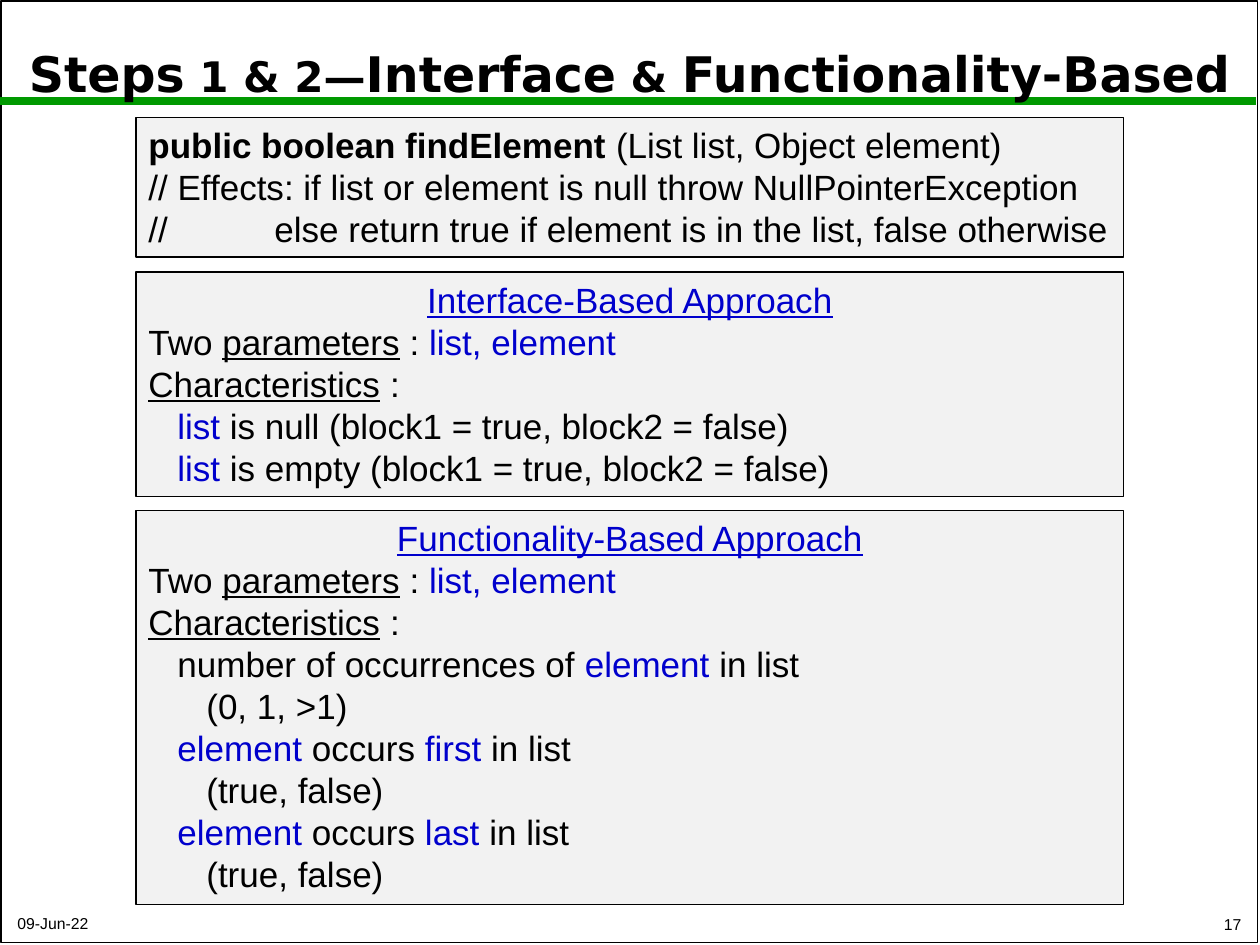
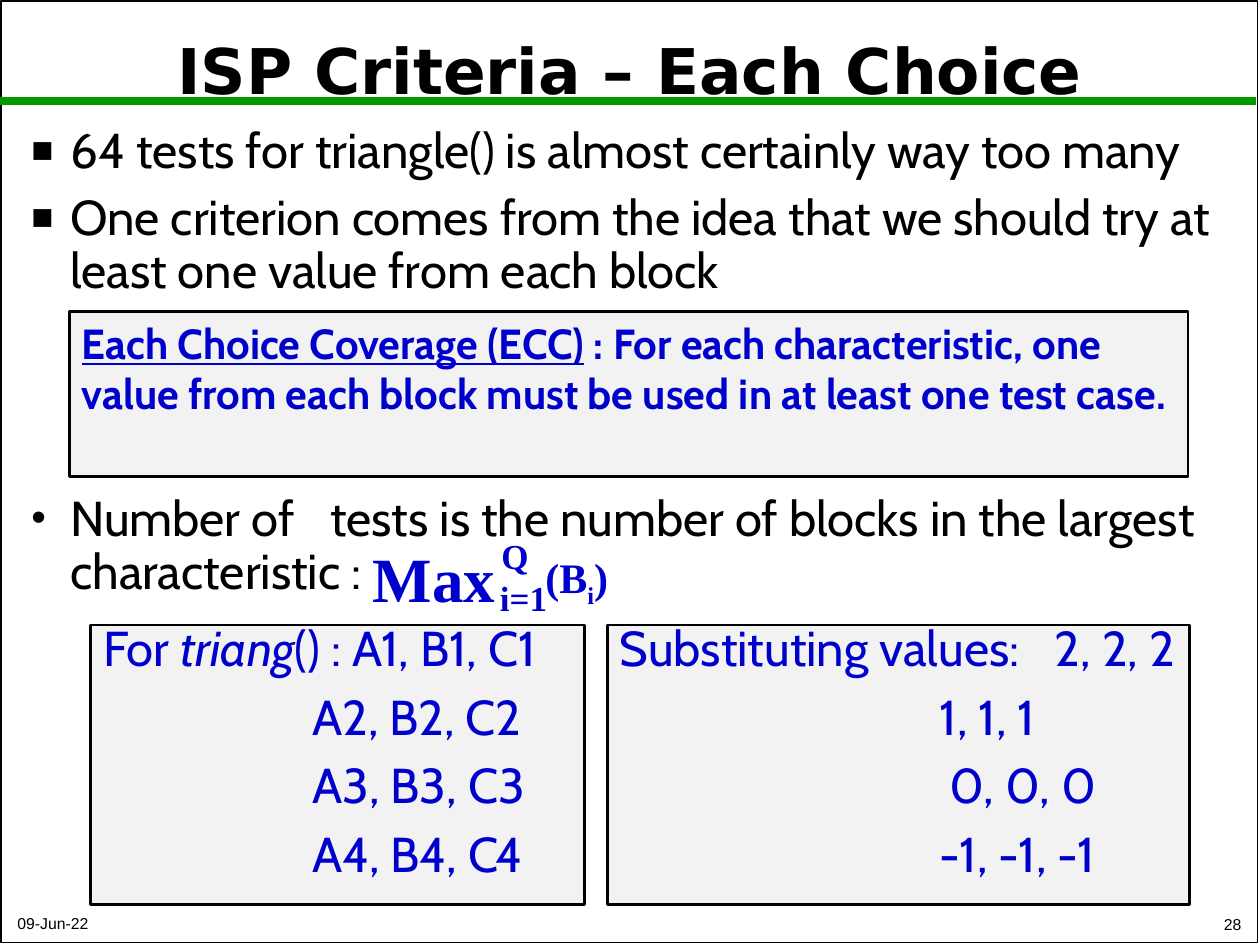
"""Build two lecture slides on input space partitioning."""
from dataclasses import dataclass

from lxml.etree import SubElement
from pptx import Presentation
from pptx.dml.color import RGBColor
from pptx.enum.shapes import MSO_CONNECTOR as Connector, MSO_SHAPE as Preset
from pptx.enum.text import MSO_ANCHOR as Anchor, PP_ALIGN as Align
from pptx.oxml.ns import qn
from pptx.util import Inches, Pt

SLIDE_WIDTH, SLIDE_HEIGHT = Inches(10), Inches(7.5)
COLUMN, ROW = SLIDE_WIDTH / 100, SLIDE_HEIGHT / 75
BLACK, BLUE, GREEN, PANEL = "000000", "0000CC", "009900", "F2F2F2"
SANS, TITLE_FONT, BODY_FONT, MATH_FONT = "Arial", "DejaVu Sans", "Cabin", "Times New Roman"
STEP = 2.3
WIDE_GAP = 7


@dataclass(frozen=True)
class Area:
    """A rectangle in columns and rows of the slide grid."""
    left: float
    top: float
    width: float
    height: float

    def box(self) -> tuple[int, int, int, int]:
        """Return left, top, width and height as lengths."""
        return (columns(self.left), rows(self.top), columns(self.width), rows(self.height))


@dataclass(frozen=True)
class Run:
    """A stretch of text, with what differs from the text around it."""
    text: str
    color: str | None = None
    size: float | None = None
    bold: bool | None = None
    italic: bool = False
    underline: bool = False
    baseline: int = 0
    spread: int = 0


@dataclass(frozen=True)
class Line:
    """A paragraph of runs, with its indent and bullet."""
    runs: tuple[Run, ...]
    indent: float = 0
    hanging: float = 0
    bullet: str = ""
    bullet_percent: int = 100
    align: Align | None = None


@dataclass(frozen=True)
class Panel:
    """A shaded box with its text format."""
    area: Area
    lines: tuple[Line, ...]
    border: float = 0.75
    size: float = 20
    font: str = SANS
    color: str = BLACK
    bold: bool = False
    spacing: float = 1
    before: float = 0


def columns(count: float) -> int:
    """Convert grid columns to a length."""
    return round(count * COLUMN)


def rows(count: float) -> int:
    """Convert grid rows to a length."""
    return round(count * ROW)


def rgb(code: str) -> RGBColor:
    """Turn a hex string into a colour."""
    return RGBColor.from_string(code)


def line(*parts: str | Run, **layout) -> Line:
    """Make a paragraph from plain strings and runs."""
    return Line(tuple(Run(part) if isinstance(part, str) else part for part in parts), **layout)


def blue(text: str) -> Run:
    """Make a highlighted run."""
    return Run(text, color=BLUE)


def underlined(text: str, color: str | None = None) -> Run:
    """Make an underlined run."""
    return Run(text, color=color, underline=True)


def write(shape, lines, *, size: float, font: str, color: str = BLACK, bold: bool = False,
          align: Align = Align.LEFT, anchor: Anchor = Anchor.TOP,
          spacing: float = 1, before: float = 0) -> None:
    """Fill a shape with formatted paragraphs."""
    frame = shape.text_frame
    frame.word_wrap = True
    frame.vertical_anchor = anchor
    for index, entry in enumerate(lines):
        paragraph = frame.add_paragraph() if index else frame.paragraphs[0]
        paragraph.alignment = entry.align or align
        paragraph.line_spacing = spacing
        paragraph.space_before = Pt(before)
        lay_out(paragraph, entry)
        for part in entry.runs:
            run = paragraph.add_run()
            run.text = part.text
            run.font.name = font
            run.font.size = Pt(part.size or size)
            run.font.bold = bold if part.bold is None else part.bold
            run.font.italic = part.italic
            run.font.underline = part.underline
            run.font.color.rgb = rgb(part.color or color)
            if part.baseline:
                run.font._element.set("baseline", str(part.baseline * 1000))
            if part.spread:
                run.font._element.set("spc", str(part.spread * 100))


def lay_out(paragraph, entry: Line) -> None:
    """Set the indent and bullet of a paragraph."""
    properties = paragraph._p.get_or_add_pPr()
    properties.set("marL", str(columns(entry.indent)))
    properties.set("indent", str(-columns(entry.hanging)))
    if entry.bullet:
        SubElement(properties, qn("a:buSzPct"), val=str(entry.bullet_percent * 1000))
        SubElement(properties, qn("a:buFont"), typeface=SANS)
        SubElement(properties, qn("a:buChar"), char=entry.bullet)
    else:
        SubElement(properties, qn("a:buNone"))


def add_text(shapes, area: Area, *lines: Line, **text_format) -> None:
    """Place a text box on the grid."""
    write(shapes.add_textbox(*area.box()), lines, **text_format)


def add_rectangle(shapes, area: Area, border: float, fill: str | None = None):
    """Draw a black-edged rectangle."""
    rectangle = shapes.add_shape(Preset.RECTANGLE, *area.box())
    rectangle.shadow.inherit = False
    rectangle.line.color.rgb = rgb(BLACK)
    rectangle.line.width = Pt(border)
    if fill:
        rectangle.fill.solid()
        rectangle.fill.fore_color.rgb = rgb(fill)
    else:
        rectangle.fill.background()
    return rectangle


def add_panel(shapes, panel: Panel) -> None:
    """Draw a shaded box with text."""
    write(add_rectangle(shapes, panel.area, panel.border, PANEL), panel.lines,
          size=panel.size, font=panel.font, color=panel.color, bold=panel.bold,
          spacing=panel.spacing, before=panel.before)


def add_base(deck, title: Line, title_area: Area, title_size: float, number: int):
    """Add a slide with frame, title, green rule and footer."""
    shapes = deck.slides.add_slide(deck.slide_layouts[6]).shapes
    add_rectangle(shapes, Area(0.1, 0.1, 99.7, 74.7), 1)
    rule = shapes.add_connector(Connector.STRAIGHT, 0, rows(8), columns(99.7), rows(8))
    rule.line.color.rgb = rgb(GREEN)
    rule.line.width = Pt(4.5)
    SubElement(rule._element.spPr, qn("a:effectLst"))
    add_text(shapes, title_area, title, size=title_size, font=TITLE_FONT, bold=True,
             align=Align.CENTER, anchor=Anchor.MIDDLE, spacing=0.9)
    footer = dict(size=9, font=SANS, anchor=Anchor.BOTTOM)
    add_text(shapes, Area(0.4, 71.8, 42, 2.7), line("09-Jun-22"), **footer)
    add_text(shapes, Area(78.7, 71.7, 20.8, 2.9), line(str(number)), align=Align.RIGHT, **footer)
    return shapes


def approach(name: str, *characteristics: Line) -> tuple[Line, ...]:
    """List the parameters and characteristics of an approach."""
    return (line(underlined(f"{name}-Based Approach", BLUE), align=Align.CENTER),
            line("Two ", underlined("parameters"), " : ", blue("list, element")),
            line(underlined("Characteristics"), " :"),
            *characteristics)


def build_approaches(deck) -> None:
    """Build the slide on the two modelling approaches."""
    title = line("Steps", Run(" 1 & 2—", size=24), "Interface", Run(" & ", size=24),
                 "Functionality-Based")
    shapes = add_base(deck, title, Area(0.9, 1.1, 98.1, 10), 28, 17)
    signature = (
        line(Run("public boolean findElement ", bold=True), "(List list, Object element)"),
        line("// Effects: if list or element is null throw NullPointerException"),
        line("//\t\telse return true if element is in the list, false otherwise"))
    interface = approach("Interface", *(
        line(blue("list "), f"is {state} (block1 = true, block2 = false)", indent=STEP)
        for state in ("null", "empty")))
    true_false = line("(true, false)", indent=2 * STEP)
    occurrences = [entry for position in ("first ", "last ") for entry in (
        line(blue("element "), "occurs ", blue(position), "in list", indent=STEP), true_false)]
    functionality = approach(
        "Functionality",
        line("number of occurrences of ", blue("element "), "in list", indent=STEP),
        line("(0, 1, >1)", indent=2 * STEP), *occurrences)
    for top, height, lines in ((9.3, 11.1, signature), (21.6, 17.8, interface),
                               (40.5, 31.3, functionality)):
        add_panel(shapes, Panel(Area(10.8, top, 78.4, height), lines))


def build_each_choice(deck) -> None:
    """Build the slide on each choice coverage."""
    shapes = add_base(deck, line("ISP Criteria – Each Choice"), Area(0.5, 1.1, 99, 9.5), 36, 28)
    body = dict(size=28, font=BODY_FONT, spacing=0.9, before=8.4)
    square = dict(indent=3.1, hanging=3.1, bullet="■", bullet_percent=75)
    add_text(shapes, Area(1.5, 9.5, 97, 15.2),
             line("64 tests for triangle() is almost certainly way too many", **square),
             line("One criterion comes from the idea that we should try at least one value "
                  "from each block", **square), **body)
    definition = line(underlined("Each Choice Coverage (ECC)"),
                      " : For each characteristic, one value from each block must be used "
                      "in at least one test case.")
    add_panel(shapes, Panel(Area(5.5, 24.7, 88.8, 13.1), (definition,), border=1.5, size=24,
                            font=BODY_FONT, color=BLUE, bold=True))
    add_text(shapes, Area(1.5, 38.7, 97, 10.5),
             line("Number o", Run("f ", spread=WIDE_GAP),
                  "tests is the number of blocks in the largest characteristic :",
                  indent=3.1, hanging=3.1, bullet="•", bullet_percent=85), **body)

    formula = shapes.add_group_shape().shapes
    for area, size, term in (
            (Area(28.6, 42.3, 12, 7), 36, line("Max")),
            (Area(38.8, 41.9, 4.1, 4.3), 20, line("Q")),
            (Area(38.7, 45.3, 6.4, 4.3), 20, line("i=1")),
            (Area(42.3, 43.3, 8, 5), 24, line("(B", Run("i", baseline=-25), ")"))):
        add_text(formula, area, term, size=size, font=MATH_FONT, color=BLUE, bold=True)

    blocks = (line("For ", Run("triang", italic=True), "() : A1, B1, C1"),
              *(line(f"A{block}, B{block}, C{block}", indent=16.6) for block in (2, 3, 4)))
    values = (line("Substituting values", Run(": ", spread=WIDE_GAP), "2, 2, 2"),
              line("1, 1, 1", indent=25.4), line("0, 0, 0", indent=26.2),
              line("-1, -1, -1", indent=25.4))
    for left, width, lines in ((7.2, 39.2, blocks), (48.2, 46.2, values)):
        add_panel(shapes, Panel(Area(left, 49.6, width, 22.2), lines, border=1.5, size=28,
                                font=BODY_FONT, color=BLUE, spacing=0.75, before=14))


def main() -> None:
    """Build and save the presentation."""
    deck = Presentation()
    deck.slide_width, deck.slide_height = SLIDE_WIDTH, SLIDE_HEIGHT
    build_approaches(deck)
    build_each_choice(deck)
    deck.save("out.pptx")


if __name__ == "__main__":
    main()
